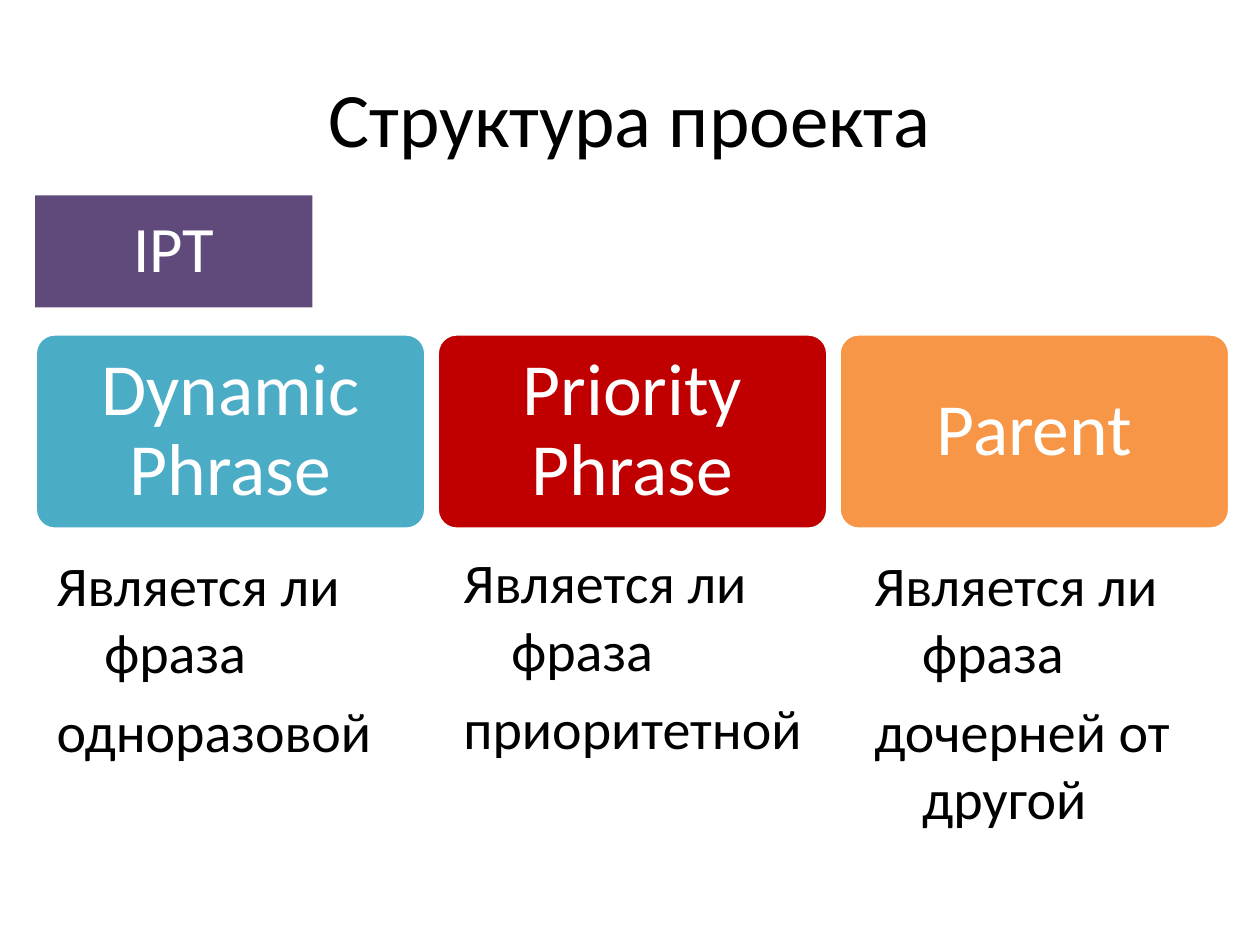
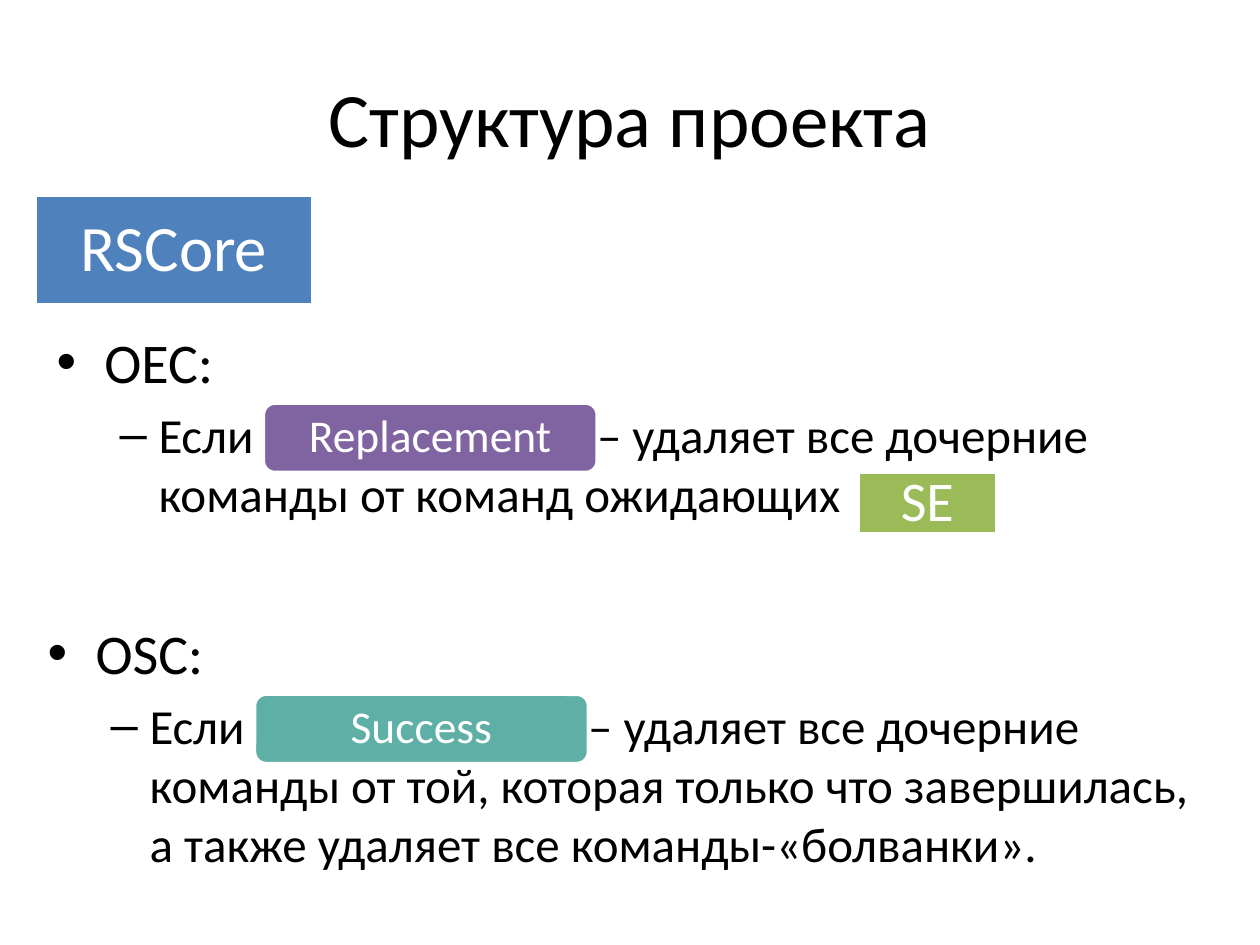
from pptx import Presentation
from pptx.dml.color import RGBColor
from pptx.enum.shapes import MSO_SHAPE
from pptx.enum.text import MSO_ANCHOR, PP_ALIGN
from pptx.oxml.ns import qn
from pptx.util import Inches, Pt
from lxml.etree import SubElement

FONT = "Calibri"
HEX = {
    "ink": "000000", "white": "FFFFFF", "plum": "604A7B", "sky": "4BACC6",
    "red": "C00000", "orange": "F79646", "blue": "4F81BD",
    "violet": "8064A2", "teal": "5EAFA6", "green": "9BBB59",
}
RECT, ROUND = MSO_SHAPE.RECTANGLE, MSO_SHAPE.ROUNDED_RECTANGLE


def color(name):
    return RGBColor.from_string(HEX[name])


def style(para, size, ink="ink"):
    font = para.font
    font.name, font.size = FONT, Pt(size)
    font.color.rgb = color(ink)


def text_box(slide, x, y, w, h):
    box = slide.shapes.add_textbox(Inches(x), Inches(y), Inches(w), Inches(h))
    box.text_frame.word_wrap = True
    return box.text_frame


def add_page(deck, title):
    """Blank slide with the shared centred title."""
    slide = deck.slides.add_slide(deck.slide_layouts[6])
    frame = text_box(slide, 0.5, 0.3, 9, 1.25)
    frame.vertical_anchor = MSO_ANCHOR.MIDDLE
    para = frame.paragraphs[0]
    para.text, para.alignment = title, PP_ALIGN.CENTER
    style(para, 44)
    return slide


def add_label(slide, kind, text, x, y, w, h, fill, size, edge=True, round_by=None):
    """Filled shape with centred white text."""
    shape = slide.shapes.add_shape(kind, Inches(x), Inches(y), Inches(w), Inches(h))
    shape.shadow.inherit = False
    shape.fill.solid()
    shape.fill.fore_color.rgb = color(fill)
    if edge:
        shape.line.color.rgb = color("white")
        shape.line.width = Pt(2)
    else:
        shape.line.fill.background()
    if round_by:
        shape.adjustments[0] = round_by
    frame = shape.text_frame
    frame.word_wrap = True
    frame.margin_top = frame.margin_bottom = 0
    frame.vertical_anchor = MSO_ANCHOR.MIDDLE
    para = frame.paragraphs[0]
    para.text, para.alignment, para.line_spacing = text, PP_ALIGN.CENTER, 0.9
    style(para, size, "white")


def set_indent(para, left, hang, bullet=None):
    props = para._p.get_or_add_pPr()
    props.set("marL", str(Inches(left)))
    props.set("indent", str(-Inches(hang)))
    if bullet:
        SubElement(props, qn("a:buFont"), typeface="Arial")
        SubElement(props, qn("a:buChar"), char=bullet)
    else:
        SubElement(props, qn("a:buNone"))


def add_note(slide, x, y, lines):
    """Unbulleted column with hanging indents."""
    frame = text_box(slide, x, y, 2.99, 2.6)
    for i, line in enumerate(lines):
        para = frame.add_paragraph() if i else frame.paragraphs[0]
        para.text = line
        set_indent(para, 0.38, 0.38)
        if i:
            para.space_before = Pt(6.4)
        style(para, 32)


def add_case(slide, x, y, head, tag, fill, rest):
    """Bulleted rule whose sentence leaves room for a coloured tag."""
    frame = text_box(slide, x, y, 9.29, 2.2)
    top, sub = frame.paragraphs[0], frame.add_paragraph()
    top.text = head
    set_indent(top, 0.38, 0.38, "•")
    style(top, 32)

    sub.level = 1
    sub.space_before = Pt(5.6)
    set_indent(sub, 0.81, 0.31, "–")
    for part in ("Если", " ", rest):
        run = sub.add_run()
        run.text = part
        if part == " ":
            # One widely spaced blank holds the tag's place
            run._r.get_or_add_rPr().set("spc", "19000")
    style(sub, 28)
    add_label(slide, ROUND, tag, x + 1.74, y + 0.65, 2.65, 0.55, fill, 26)


def add_ipt(deck, title):
    slide = add_page(deck, title)
    add_label(slide, RECT, "IPT", 0.28, 1.55, 2.2, 0.89, "plum", 37, edge=False)
    ask = "Является ли фраза"
    tiles = [
        ("Dynamic Phrase", "sky", 0.35, 4.32, "одноразовой"),
        ("Priority Phrase", "red", 3.58, 4.3, "приоритетной"),
        ("Parent", "orange", 6.84, 4.32, "дочерней от другой"),
    ]
    for i, (name, fill, x, y, end) in enumerate(tiles):
        add_label(slide, ROUND, name, 0.28 + 3.19 * i, 2.65, 3.1, 1.55,
                  fill, 42, round_by=0.1)
        add_note(slide, x, y, [ask, end])


def add_core(deck, title):
    slide = add_page(deck, title)
    add_label(slide, RECT, "RSCore", 0.28, 1.55, 2.2, 0.87, "blue", 37)
    add_case(slide, 0.35, 2.55, "OEC:", "Replacement", "violet",
             "– удаляет все дочерние команды от команд ожидающих")
    add_label(slide, RECT, "SE", 6.81, 3.75, 1.1, 0.49, "green", 32)
    add_case(slide, 0.28, 4.86, "OSC:", "Success", "teal",
             "– удаляет все дочерние команды от той, которая только что "
             "завершилась, а также удаляет все команды-«болванки».")


def main():
    deck = Presentation()
    deck.slide_width, deck.slide_height = Inches(10), Inches(7.5)
    title = "Структура проекта"
    add_ipt(deck, title)
    add_core(deck, title)
    deck.save("out.pptx")


if __name__ == "__main__":
    main()
